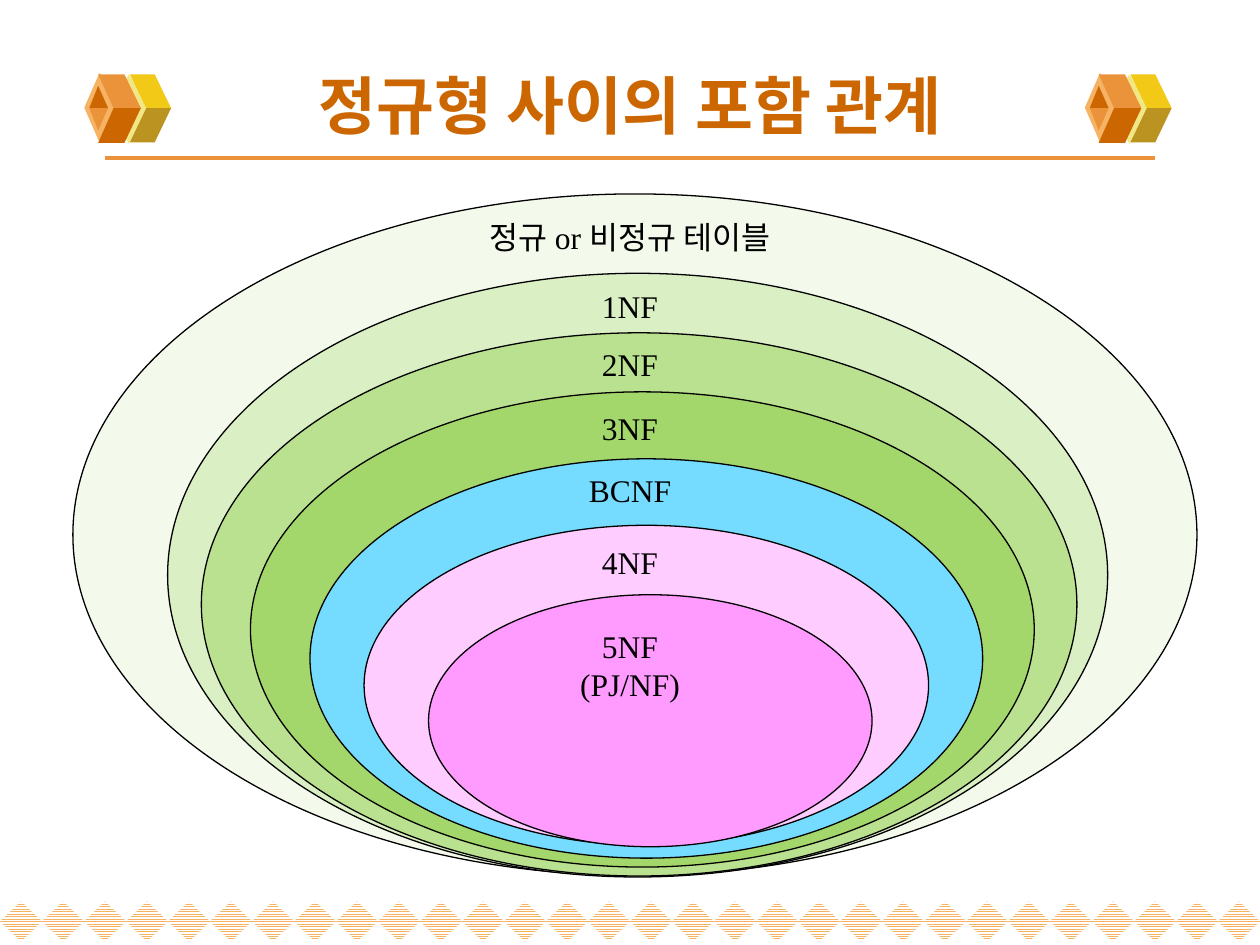
from lxml.etree import SubElement
from pptx import Presentation
from pptx.dml.color import RGBColor
from pptx.enum.dml import MSO_PATTERN
from pptx.enum.shapes import MSO_CONNECTOR, MSO_SHAPE
from pptx.enum.text import MSO_ANCHOR, PP_ALIGN
from pptx.oxml.ns import qn
from pptx.util import Cm, Pt

WHITE = RGBColor(0xFF, 0xFF, 0xFF)
BLACK = RGBColor(0x00, 0x00, 0x00)
RUST = RGBColor(0xCC, 0x66, 0x00)
ORANGE = RGBColor(0xEB, 0x93, 0x3B)
APRICOT = RGBColor(0xF5, 0xB3, 0x63)
CREAM = RGBColor(0xF1, 0xE7, 0x85)
YELLOW = RGBColor(0xF3, 0xC9, 0x17)
OLIVE = RGBColor(0xBB, 0x93, 0x21)
PALE_GREEN = RGBColor(0xF3, 0xFA, 0xEC)
LIGHT_GREEN = RGBColor(0xDA, 0xEF, 0xC3)
MID_GREEN = RGBColor(0xBA, 0xE1, 0x8F)
GREEN = RGBColor(0xA4, 0xD7, 0x6B)
BLUE = RGBColor(0x75, 0xDB, 0xFF)
LIGHT_PINK = RGBColor(0xFF, 0xCC, 0xFF)
PINK = RGBColor(0xFF, 0x9B, 0xFF)

SLIDE_WIDTH, SLIDE_HEIGHT = 25.4, 19.05
CENTER = SLIDE_WIDTH / 2

# Nested sets, outermost first: left, top, width, height, fill
ELLIPSES = [
    (1.47, 3.91, 22.66, 13.74, PALE_GREEN),
    (3.38, 5.51, 18.95, 12.17, LIGHT_GREEN),
    (4.06, 6.71, 17.65, 10.95, MID_GREEN),
    (5.05, 7.9, 15.8, 9.58, GREEN),
    (6.25, 9.25, 13.56, 8.05, BLUE),
    (7.34, 10.59, 11.38, 6.45, LIGHT_PINK),
    (8.64, 11.99, 8.94, 5.08, PINK),
]
# Labels: text, top, width, height
LABELS = [
    ("정규 or 비정규 테이블", 4.27, 7.65, 1.02),
    ("1NF", 5.66, 2.97, 1.02),
    ("2NF", 6.83, 2.97, 1.02),
    ("3NF", 8.13, 2.97, 1.02),
    ("BCNF", 9.37, 2.97, 1.02),
    ("4NF", 10.82, 2.97, 1.02),
    ("5NF\n(PJ/NF)", 12.52, 2.97, 1.8),
]


class SlideBuilder:
    font_name = "Times New Roman"

    def __init__(self, slide):
        self.slide = slide

    def preset(self, kind, left, top, width, height, color, outlined=False):
        shape = self.slide.shapes.add_shape(
            kind, Cm(left), Cm(top), Cm(width), Cm(height))
        self.paint(shape, color)
        if outlined:
            shape.line.color.rgb = BLACK
            shape.line.width = Pt(0.75)
        return shape

    def polygon(self, points, color):
        corners = [(Cm(x), Cm(y)) for x, y in points]
        builder = self.slide.shapes.build_freeform(*corners[0])
        builder.add_line_segments(corners[1:], close=True)
        self.paint(builder.convert_to_shape(), color)

    def paint(self, shape, color):
        shape.shadow.inherit = False
        shape.fill.solid()
        shape.fill.fore_color.rgb = color
        shape.line.fill.background()

    def striped_diamond(self, left, top, width, height):
        shape = self.preset(MSO_SHAPE.DIAMOND, left, top, width, height, APRICOT)
        shape.fill.patterned()
        shape.fill.pattern = MSO_PATTERN.NARROW_HORIZONTAL
        shape.fill.fore_color.rgb = APRICOT
        shape.fill.back_color.rgb = WHITE

    def rule(self, left, right, y):
        line = self.slide.shapes.add_connector(
            MSO_CONNECTOR.STRAIGHT, Cm(left), Cm(y), Cm(right), Cm(y))
        line.line.color.rgb = ORANGE
        line.line.width = Pt(2.25)
        SubElement(line.element.spPr, qn("a:effectLst"))

    def cube(self, dx):
        """Draw the ornament; its lower faces mirror the upper ones."""
        middle = 2.18

        def face(xs, far_y, color):
            heights = [middle, middle, far_y, far_y]
            self.polygon([(x + dx, y) for x, y in zip(xs, heights)], color)

        self.preset(MSO_SHAPE.DIAMOND, 2.18 + dx, 1.5, 0.84, 1.4, CREAM)
        right_face = (2.95, 3.45, 3.12, 2.62)
        face(right_face, 1.5, YELLOW)
        face(right_face, 2.87, OLIVE)
        self.preset(MSO_SHAPE.DIAMOND, 1.7 + dx, 1.47, 0.61, 1.4, APRICOT)
        left_face = (2.29, 2.84, 2.51, 1.98)
        face(left_face, 1.5, ORANGE)
        face(left_face, 2.88, RUST)
        hole = (1.8, 2.18, 1.98)
        face(hole, 1.73, RUST)
        face(hole, 2.63, ORANGE)

    def text(self, text, top, width, height, size=18, color=BLACK,
             bold=False, anchor=MSO_ANCHOR.TOP):
        box = self.slide.shapes.add_textbox(
            Cm(CENTER - width / 2), Cm(top), Cm(width), Cm(height))
        frame = box.text_frame
        frame.word_wrap = True
        frame.vertical_anchor = anchor
        frame.text = text
        for paragraph in frame.paragraphs:
            paragraph.alignment = PP_ALIGN.CENTER
            for run in paragraph.runs:
                run.font.name = self.font_name
                run.font.size = Pt(size)
                run.font.bold = bold
                run.font.color.rgb = color


def main():
    presentation = Presentation()
    presentation.slide_width = Cm(SLIDE_WIDTH)
    presentation.slide_height = Cm(SLIDE_HEIGHT)
    builder = SlideBuilder(
        presentation.slides.add_slide(presentation.slide_layouts[6]))

    # Bottom border
    diamond_count = 30
    pitch = SLIDE_WIDTH / diamond_count
    for index in range(diamond_count):
        builder.striped_diamond(index * pitch, 18.17, pitch, 0.81)

    # Title with its rule and cubes
    builder.rule(2.12, 23.28, 3.18)
    for dx in (0, 20.17):
        builder.cube(dx)
    builder.text("정규형 사이의 포함 관계", 1.02, 22.86, 2.16, size=36,
                 color=RUST, bold=True, anchor=MSO_ANCHOR.MIDDLE)

    # Nested normal forms
    for left, top, width, height, color in ELLIPSES:
        builder.preset(MSO_SHAPE.OVAL, left, top, width, height, color,
                       outlined=True)
    for text, top, width, height in LABELS:
        builder.text(text, top, width, height)

    presentation.save("out.pptx")


if __name__ == "__main__":
    main()
